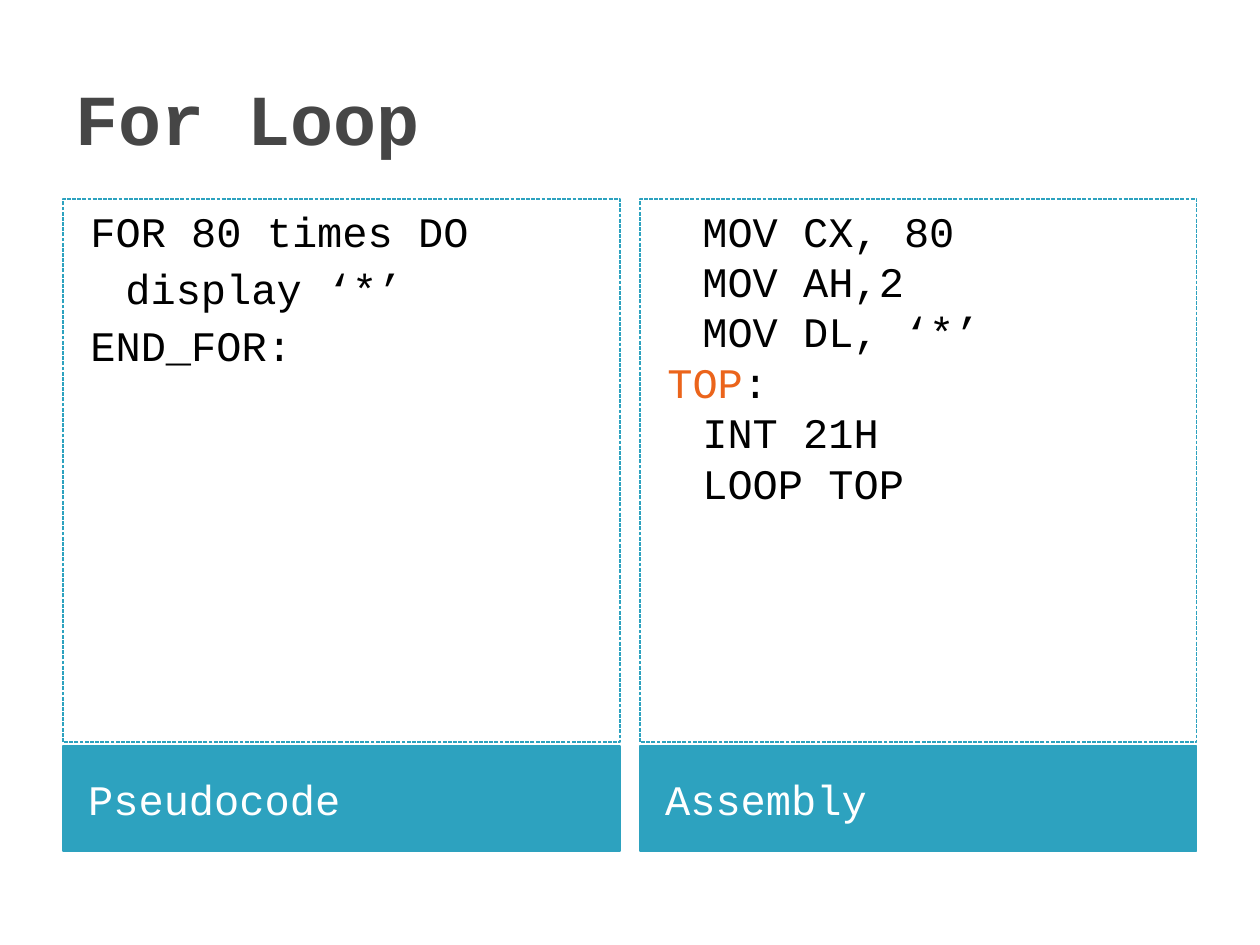
"""Build the For Loop slide comparing pseudocode with assembly."""
from pptx import Presentation, util as u
from pptx.dml.color import RGBColor
from pptx.enum import dml, shapes, text

TITLE = "For Loop"
COLUMNS = [
    {"label": "Pseudocode", "space": 4,
     "code": ["FOR 80 times DO", "\tdisplay ‘*’", "END_FOR:"]},
    {"label": "Assembly", "space": 0,
     "code": ["\tMOV CX, 80", "\tMOV AH,2", "\tMOV DL, ‘*’", "TOP:",
              "\tINT 21H", "\tLOOP TOP"]},
]
JUMP_LABEL = "TOP"

TEAL = RGBColor(0x2D, 0xA2, 0xBF)
ORANGE = RGBColor(0xEB, 0x64, 0x1B)
GREY = RGBColor(0x46, 0x46, 0x46)
BLACK = RGBColor(0, 0, 0)
WHITE = RGBColor(255, 255, 255)
FONT = "Courier New"

PX = u.Inches(1) // 126
LEFT, WIDTH, GAP = 63, 557, 20
CODE_TOP, CODE_HEIGHT = 199, 543
BAR_TOP, BAR_HEIGHT = 746, 105
HANG, HANGING_INDENT = 50, -35


def apply(target, **values):
    for name, value in values.items():
        setattr(target, name, value)


def place(part, left, top, width, height):
    apply(part, left=left * PX, top=top * PX, width=width * PX, height=height * PX)


def write(paragraph, words, colour, size=24, bold=False):
    run = paragraph.add_run()
    run.text = words
    apply(run.font, name=FONT, size=u.Pt(size), bold=bold)
    run.font.color.rgb = colour


def add_panel(left, top, height, anchor, inset):
    panel = slide.shapes.add_shape(
        shapes.MSO_SHAPE.RECTANGLE, left * PX, top * PX, WIDTH * PX, height * PX)
    panel.shadow.inherit = False
    panel.line.color.rgb = TEAL
    panel.line.width = u.Pt(0.75)
    apply(panel.text_frame, word_wrap=True, vertical_anchor=anchor,
          margin_left=u.Inches(inset))
    return panel


def add_code(column, left):
    panel = add_panel(left, CODE_TOP, CODE_HEIGHT, text.MSO_ANCHOR.TOP, 0.1)
    panel.fill.background()
    panel.line.dash_style = dml.MSO_LINE.SQUARE_DOT
    frame = panel.text_frame
    for number, line in enumerate(column["code"]):
        paragraph = frame.add_paragraph() if number else frame.paragraphs[0]
        apply(paragraph, alignment=text.PP_ALIGN.LEFT, space_before=u.Pt(column["space"]))
        properties = paragraph._p.get_or_add_pPr()
        properties.set("marL", str(HANG * PX))
        properties.set("indent", str(HANGING_INDENT * PX))
        if line.startswith(JUMP_LABEL):
            write(paragraph, JUMP_LABEL, ORANGE)
            line = line[len(JUMP_LABEL):]
        write(paragraph, line, BLACK)


def add_label(column, left):
    bar = add_panel(left, BAR_TOP, BAR_HEIGHT, text.MSO_ANCHOR.MIDDLE, 0.2)
    bar.fill.solid()
    bar.fill.fore_color.rgb = TEAL
    paragraph = bar.text_frame.paragraphs[0]
    apply(paragraph, alignment=text.PP_ALIGN.LEFT, space_before=u.Pt(4))
    write(paragraph, column["label"], WHITE)


deck = Presentation()
apply(deck, slide_width=1260 * PX, slide_height=945 * PX)
slide = deck.slides.add_slide(deck.slide_layouts[5])

heading = slide.shapes.title
place(heading, LEFT, 38, 1134, 157)
heading.text_frame.vertical_anchor = text.MSO_ANCHOR.MIDDLE
heading_line = heading.text_frame.paragraphs[0]
heading_line.alignment = text.PP_ALIGN.LEFT
write(heading_line, TITLE, GREY, size=41, bold=True)

for add_part in (add_label, add_code):
    for position, column in enumerate(COLUMNS):
        add_part(column, LEFT + position * (WIDTH + GAP))

deck.save("out.pptx")
